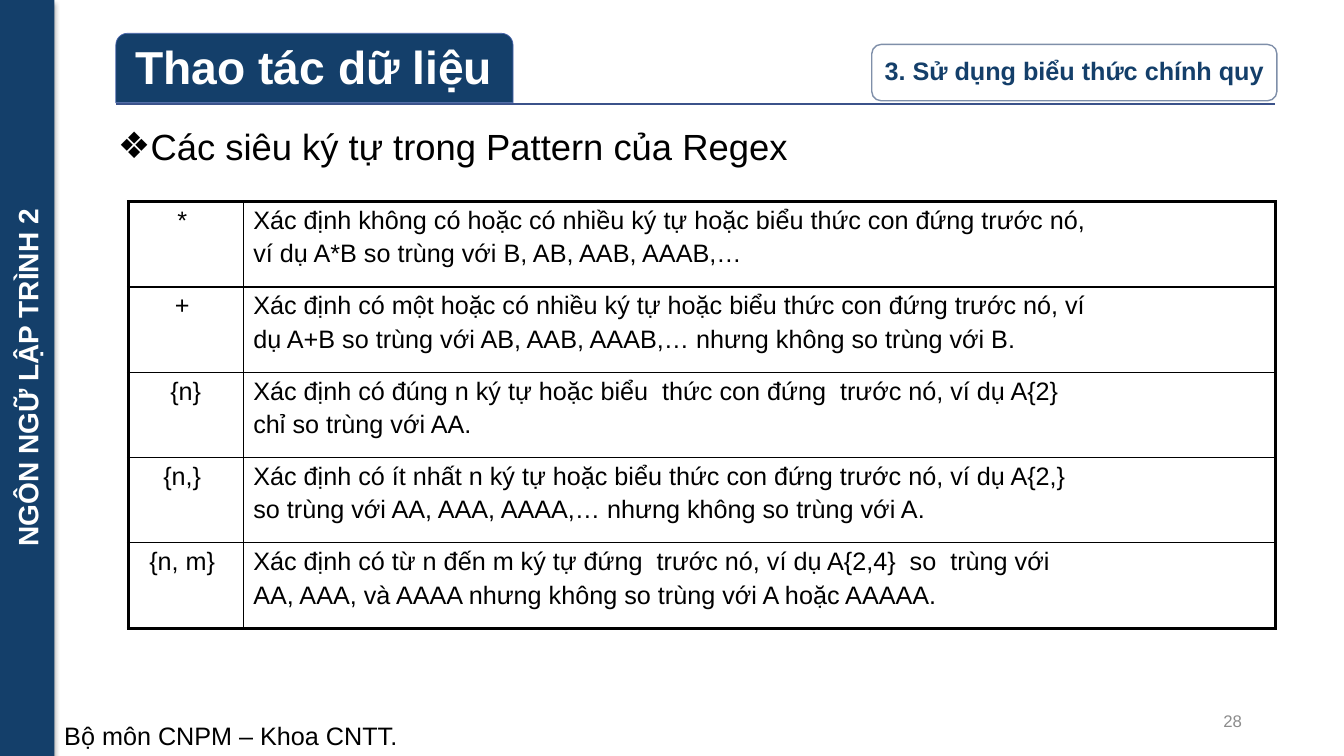
from dataclasses import dataclass

from lxml import etree
from pptx import Presentation
from pptx import util as u
from pptx.dml.color import RGBColor
from pptx.enum import shapes, text
from pptx.oxml import ns

Cm, Pt = u.Cm, u.Pt
ALIGN, ANCHOR, SHAPE = text.PP_ALIGN, text.MSO_ANCHOR, shapes.MSO_SHAPE


@dataclass(frozen=True)
class Theme:
    font: str = "Arial"
    navy: str = "143F6A"
    tab_edge: str = "4A66AC"
    rule: str = "3B528A"
    badge_edge: str = "7F8FA9"
    white: str = "FFFFFF"
    black: str = "000000"
    grey: str = "8C8C8C"
    title: float = 33
    heading: float = 26
    sidebar: float = 20
    body: float = 18
    number: float = 12


theme = Theme()


def write(frame, *lines, size=theme.body, color=theme.black, bold=False,
          align=ALIGN.LEFT, anchor=ANCHOR.TOP, spacing=None, before=0, inset=None):
    """Fill a text frame with one paragraph per line and return the last one."""
    frame.word_wrap = True
    frame.vertical_anchor = anchor
    if inset:
        frame.margin_left = frame.margin_right = Cm(inset[0])
        frame.margin_top = frame.margin_bottom = Cm(inset[1])
    for index, line in enumerate(lines):
        para = frame.add_paragraph() if index else frame.paragraphs[0]
        para.alignment = align
        para.line_spacing = spacing
        para.space_before = Pt(before)
        span = para.add_run()
        span.text = line
        span.font.name = theme.font
        span.font.size = Pt(size)
        span.font.bold = bold
        span.font.color.rgb = RGBColor.from_string(color)
    return para


def add_panel(kind, left, top, width, height, fill, edge=None, weight=1):
    """Add a filled preset shape, outlined only when an edge colour is given."""
    panel = page.shapes.add_shape(kind, Cm(left), Cm(top), Cm(width), Cm(height))
    panel.shadow.inherit = False
    panel.fill.solid()
    panel.fill.fore_color.rgb = RGBColor.from_string(fill)
    if edge:
        panel.line.color.rgb = RGBColor.from_string(edge)
        panel.line.width = Pt(weight)
    else:
        panel.line.fill.background()
    return panel


deck = Presentation()
deck.slide_width, deck.slide_height = Cm(33.87), Cm(19.05)
page = deck.slides.add_slide(deck.slide_layouts[5])

# Sidebar with vertical course name and a soft shadow
sidebar = add_panel(SHAPE.RECTANGLE, 0, 0, 1.37, 19.05, theme.navy)
write(sidebar.text_frame, "NGÔN NGỮ LẬP TRÌNH 2", size=theme.sidebar,
      color=theme.white, bold=True, align=ALIGN.CENTER, anchor=ANCHOR.MIDDLE)
sidebar.element.find(".//" + ns.qn("a:bodyPr")).set("vert", "vert270")
effects = sidebar.element.find(".//" + ns.qn("a:effectLst"))
shadow = etree.SubElement(effects, ns.qn("a:outerShdw"), blurRad=str(Pt(3.5)),
                          dist=str(Pt(2.2)), dir="5400000", rotWithShape="0")
shade = etree.SubElement(shadow, ns.qn("a:srgbClr"), val=theme.black)
etree.SubElement(shade, ns.qn("a:alpha"), val="32000")

# Footer
footer = page.shapes.add_textbox(Cm(1.37), Cm(18.03), Cm(32.49), Cm(1.02))
write(footer.text_frame, "Bộ môn CNPM – Khoa CNTT.")

# Header rule
rule = page.shapes.add_connector(shapes.MSO_CONNECTOR.STRAIGHT,
                                 Cm(2.92), Cm(2.62), Cm(32.13), Cm(2.62))
rule.line.color.rgb = RGBColor.from_string(theme.rule)
rule.line.width = Pt(1)
etree.SubElement(rule.element.spPr, ns.qn("a:effectLst"))

# Title on its tab
tab = add_panel(SHAPE.ROUND_2_SAME_RECTANGLE, 2.92, 0.84, 10.01, 1.75,
                theme.navy, theme.tab_edge, 0.5)
title = page.shapes.title
title.left, title.top, title.width, title.height = Cm(3), Cm(0.91), Cm(9.83), Cm(1.68)
title.text_frame.auto_size = text.MSO_AUTO_SIZE.NONE
write(title.text_frame, "Thao tác dữ liệu", size=theme.title, color=theme.white,
      bold=True, align=ALIGN.CENTER, anchor=ANCHOR.MIDDLE, spacing=0.9,
      inset=(0.18, 0.18))
tab.element.addnext(title.element)

# Section badge
badge = add_panel(SHAPE.ROUNDED_RECTANGLE, 21.97, 1.12, 10.21, 1.42,
                  theme.white, theme.badge_edge)
write(badge.text_frame, "3. Sử dụng biểu thức chính quy", color=theme.navy,
      bold=True, align=ALIGN.CENTER, anchor=ANCHOR.MIDDLE, spacing=0.9,
      inset=(0.1, 0.1))

# Page number
number = page.shapes.add_textbox(Cm(23.93), Cm(17.65), Cm(7.62), Cm(1.02))
write(number.text_frame, "28", size=theme.number, color=theme.grey,
      align=ALIGN.RIGHT, anchor=ANCHOR.MIDDLE)

# Bulleted heading
heading = page.shapes.add_textbox(Cm(2.72), Cm(3.12), Cm(29.85), Cm(1.5))
para = write(heading.text_frame, "Các siêu ký tự trong Pattern của Regex",
             size=theme.heading, spacing=0.9, before=10)
bullet_format = para._p.get_or_add_pPr()
bullet_format.set("marL", str(Cm(0.64)))
bullet_format.set("indent", str(-Cm(0.64)))
etree.SubElement(bullet_format, ns.qn("a:buFont"), typeface=theme.font)
etree.SubElement(bullet_format, ns.qn("a:buChar"), char="❖")

# Table of metacharacters
metacharacters = [
    ("* ", "Xác định không có hoặc có nhiều ký tự hoặc biểu thức con đứng trước nó, ",
     "ví dụ A*B so trùng với B, AB, AAB, AAAB,… "),
    ("+ ", "Xác định có một hoặc có nhiều ký tự hoặc biểu thức con đứng trước nó, ví ",
     "dụ A+B so trùng với AB, AAB, AAAB,… nhưng không so trùng với B. "),
    ("{n}", "Xác định có đúng n ký tự hoặc biểu  thức con đứng  trước nó, ví dụ A{2} ",
     "chỉ so trùng với AA. "),
    ("{n,} ", "Xác định có ít nhất n ký tự hoặc biểu thức con đứng trước nó, ví dụ A{2,} ",
     "so trùng với AA, AAA, AAAA,… nhưng không so trùng với A. "),
    ("{n, m} ", "Xác định có từ n đến m ký tự đứng  trước nó, ví dụ A{2,4}  so  trùng với",
     "AA, AAA, và AAAA nhưng không so trùng với A hoặc AAAAA. "),
]
last_row = len(metacharacters) - 1
row_height, column_widths = 2.15, (2.9, 26.01)
table = page.shapes.add_table(len(metacharacters), 2, Cm(3.23), Cm(5.08),
                              Cm(sum(column_widths)),
                              Cm(row_height * len(metacharacters))).table
table.first_row = table.horz_banding = False
for column, width in zip(table.columns, column_widths):
    column.width = Cm(width)

for row, (symbol, *meaning) in enumerate(metacharacters):
    table.rows[row].height = Cm(row_height)
    for col, lines in enumerate(([symbol], meaning)):
        cell = table.cell(row, col)
        write(cell.text_frame, *lines, before=3.6,
              align=ALIGN.JUSTIFY if col else ALIGN.CENTER)
        # Thick outer frame, thin inner lines
        outer = {"L": col == 0, "R": col == 1, "T": row == 0, "B": row == last_row}
        cell_format = cell._tc.get_or_add_tcPr()
        for side, thick in outer.items():
            border = etree.SubElement(cell_format, ns.qn(f"a:ln{side}"),
                                      w=str(Pt(2.25 if thick else 1)))
            ink = etree.SubElement(border, ns.qn("a:solidFill"))
            etree.SubElement(ink, ns.qn("a:srgbClr"), val=theme.black)
        cell.fill.background()

deck.save("out.pptx")
